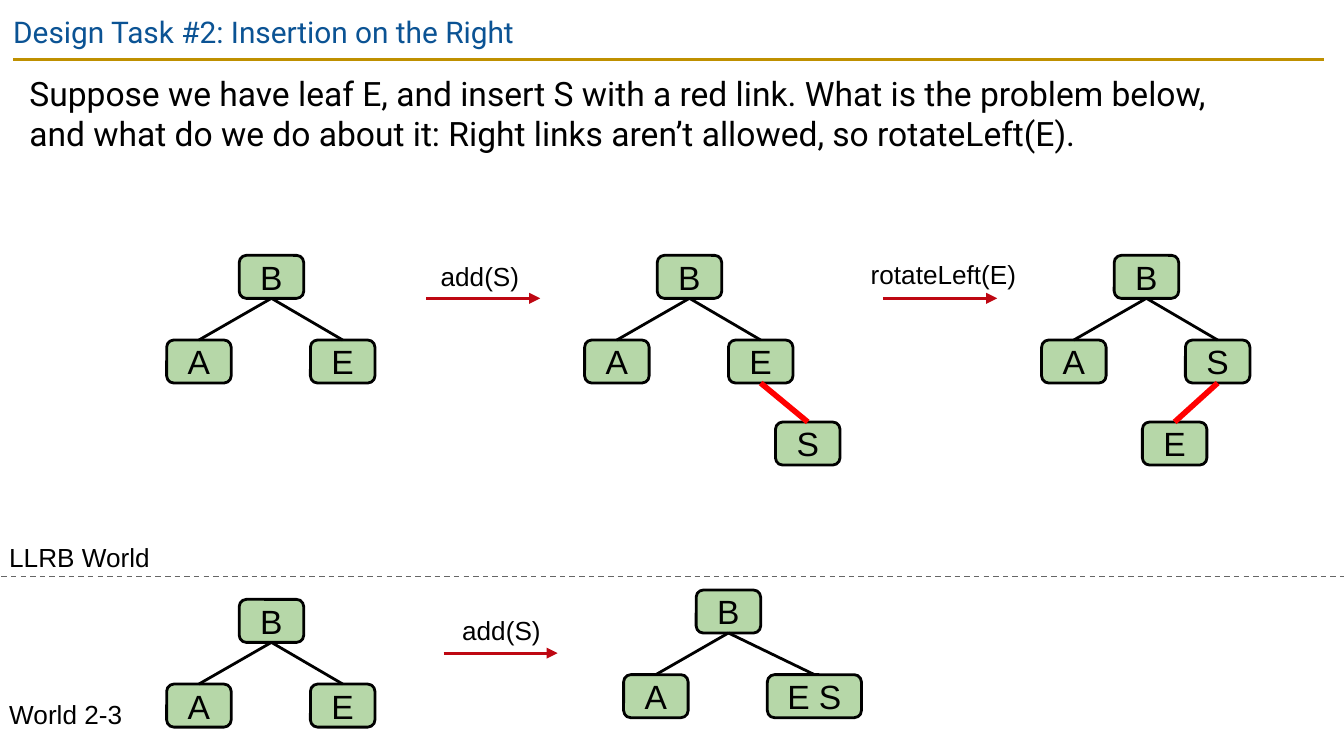
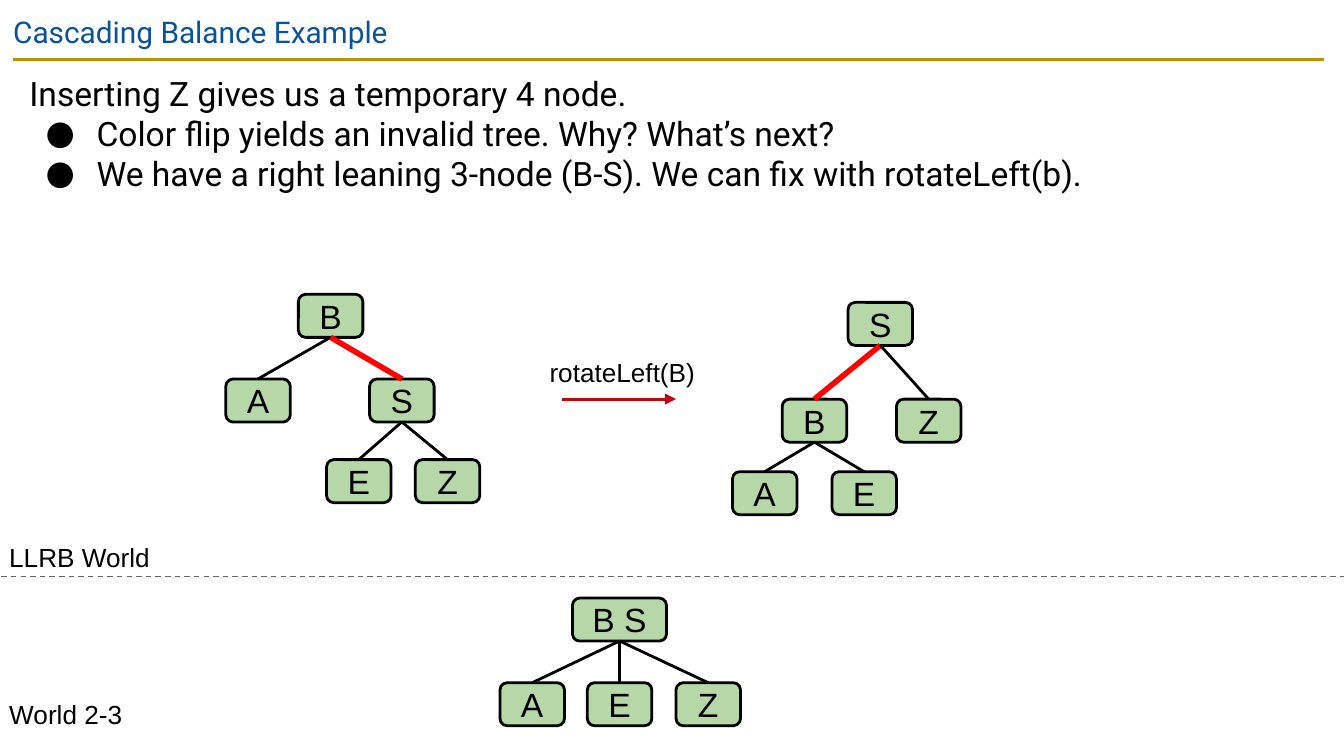
from lxml import etree
from pptx import Presentation
from pptx.dml.color import RGBColor
from pptx.enum.dml import MSO_LINE
from pptx.enum.shapes import MSO_CONNECTOR, MSO_SHAPE
from pptx.enum.text import MSO_ANCHOR, PP_ALIGN
from pptx.oxml.ns import qn
from pptx.util import Inches, Pt

STRAIGHT = MSO_CONNECTOR.STRAIGHT
ROUND = MSO_SHAPE.ROUNDED_RECTANGLE
DASH = MSO_LINE.DASH
MIDDLE = MSO_ANCHOR.MIDDLE
CENTER = PP_ALIGN.CENTER

BLACK = RGBColor(0x00, 0x00, 0x00)
BLUE = RGBColor(0x0B, 0x53, 0x94)
GOLD = RGBColor(0xBF, 0x90, 0x00)
GRAY = RGBColor(0x66, 0x66, 0x66)
GREEN = RGBColor(0xB6, 0xD7, 0xA8)
RED = RGBColor(0xFF, 0x00, 0x00)
CRIMSON = RGBColor(0xBE, 0x07, 0x12)

SANS = "Arial"
HEAD = "Roboto"
NODE_W, WIDE_W, NODE_H = 0.48, 0.7, 0.32
LEVEL = 0.63
SPREAD = (-0.54, 0.53)
ARROW = 0.85


class Deck:
    def __init__(self):
        self.prs = Presentation()
        self.prs.slide_width = Inches(10)
        self.prs.slide_height = Inches(10) * 9 // 16
        self.slide = None

    def start(self, title, lines):
        self.slide = self.prs.slides.add_slide(self.prs.slide_layouts[6])
        self.line(0.1, 0.44, 9.85, 0.44, GOLD)
        self.text(0, 0, 9.32, 0.43, [title], 16, HEAD, BLUE)
        body = self.text(0.12, 0.44, 9.32, 3.74, lines, 18, HEAD)
        for para in body.text_frame.paragraphs[1:]:
            self.bullet(para)
        self.line(0.01, 4.29, 10.03, 4.29, GRAY, 0.75).line.dash_style = DASH
        self.text(-0.03, 3.93, 1.38, 0.29, ["LLRB World"])
        self.text(-0.03, 5.1, 1.38, 0.29, ["World 2-3"])

    def style(self, frame, size, font, color):
        frame.word_wrap = True
        frame.margin_left = frame.margin_right = Inches(0.1)
        frame.margin_top = frame.margin_bottom = Inches(0.1)
        for para in frame.paragraphs:
            for run in para.runs:
                run.font.size = Pt(size)
                run.font.name = font
                run.font.color.rgb = color

    def text(self, left, top, width, height, lines,
             size=14, font=SANS, color=BLACK):
        box = self.slide.shapes.add_textbox(
            Inches(left), Inches(top), Inches(width), Inches(height))
        box.text_frame.text = "\n".join(lines)
        self.style(box.text_frame, size, font, color)
        return box

    def bullet(self, para):
        props = para._p.get_or_add_pPr()
        props.set("marL", str(Inches(0.5)))
        props.set("indent", str(Inches(-0.38)))
        tint = etree.SubElement(props, qn("a:buClr"))
        etree.SubElement(tint, qn("a:srgbClr"), val=str(BLACK))
        etree.SubElement(props, qn("a:buSzPts"), val="1800")
        etree.SubElement(props, qn("a:buFont"), typeface=HEAD)
        etree.SubElement(props, qn("a:buChar"), char="●")

    def line(self, x1, y1, x2, y2, color=BLACK, width=1.5):
        line = self.slide.shapes.add_connector(
            STRAIGHT, Inches(x1), Inches(y1), Inches(x2), Inches(y2))
        line.line.color.rgb = color
        line.line.width = Pt(width)
        etree.SubElement(line._element.spPr, qn("a:effectLst"))
        return line

    def arrow(self, left, top, label, x, y):
        line = self.line(left, top, left + ARROW, top, CRIMSON)
        stroke = line._element.spPr.find(qn("a:ln"))
        etree.SubElement(stroke, qn("a:tailEnd"), type="triangle")
        self.text(x, y, 1.52, 0.45, [label])

    def node(self, left, top, name):
        width = WIDE_W if len(name) > 1 else NODE_W
        node = self.slide.shapes.add_shape(
            ROUND, Inches(left), Inches(top), Inches(width), Inches(NODE_H))
        node.shadow.inherit = False
        node.fill.solid()
        node.fill.fore_color.rgb = GREEN
        node.line.color.rgb = BLACK
        node.line.width = Pt(1.5)
        frame = node.text_frame
        frame.text = name
        frame.vertical_anchor = MIDDLE
        frame.paragraphs[0].alignment = CENTER
        self.style(frame, 18, SANS, BLACK)
        return node

    def kids(self, root, top, names, lefts, red=""):
        nodes = []
        for name, left in zip(names, lefts):
            node = self.node(left, top, name)
            hot = name == red
            link = self.line(0, 0, 1, 1, RED if hot else BLACK,
                             3 if hot else 1.5)
            link.begin_connect(root, 2)
            link.end_connect(node, 0)
            nodes.append(node)
        return nodes

    def tree(self, left, top, root, names, red=""):
        lefts = [left + step for step in SPREAD]
        return self.kids(self.node(left, top, root), top + LEVEL,
                         names, lefts, red)


def insert(deck):
    deck.start("Design Task #2: Insertion on the Right", [
        "Suppose we have leaf E, and insert S with a red link. "
        "What is the problem below, and what do we do about it: "
        "Right links aren’t allowed, so rotateLeft(E)."])
    deck.tree(1.78, 1.9, "B", "AE")
    leaf = deck.tree(4.89, 1.9, "B", "AE")[1]
    deck.kids(leaf, 3.14, "S", [5.77], "S")
    leaf = deck.tree(8.29, 1.9, "B", "AS")[1]
    deck.kids(leaf, 3.14, "E", [8.5], "E")
    deck.tree(1.78, 4.46, "B", "AE")
    deck.tree(5.18, 4.39, "B", ["A", "E S"])
    deck.arrow(3.17, 2.22, "add(S)", 3.18, 1.84)
    deck.arrow(6.57, 2.22, "rotateLeft(E)", 6.38, 1.82)
    deck.arrow(3.3, 4.86, "add(S)", 3.34, 4.47)


def cascade(deck):
    deck.start("Cascading Balance Example", [
        "Inserting Z gives us a temporary 4 node.",
        "Color flip yields an invalid tree. Why? What’s next?",
        "We have a right leaning 3-node (B-S). "
        "We can fix with rotateLeft(b)."])
    right = deck.tree(2.22, 2.19, "B", "AS", "S")[1]
    deck.kids(right, 3.42, "EZ", [2.43, 3.09])
    deck.arrow(4.18, 2.97, "rotateLeft(B)", 3.99, 2.55)
    root = deck.node(6.31, 2.25, "S")
    left = deck.kids(root, 2.97, "BZ", [5.82, 6.67], "B")[0]
    deck.kids(left, 3.51, "AE", [5.45, 6.19])
    root = deck.node(4.26, 4.45, "B S")
    deck.kids(root, 5.08, "AEZ", [3.72, 4.37, 5.03])


def main():
    deck = Deck()
    insert(deck)
    cascade(deck)
    deck.prs.save("out.pptx")


if __name__ == "__main__":
    main()
